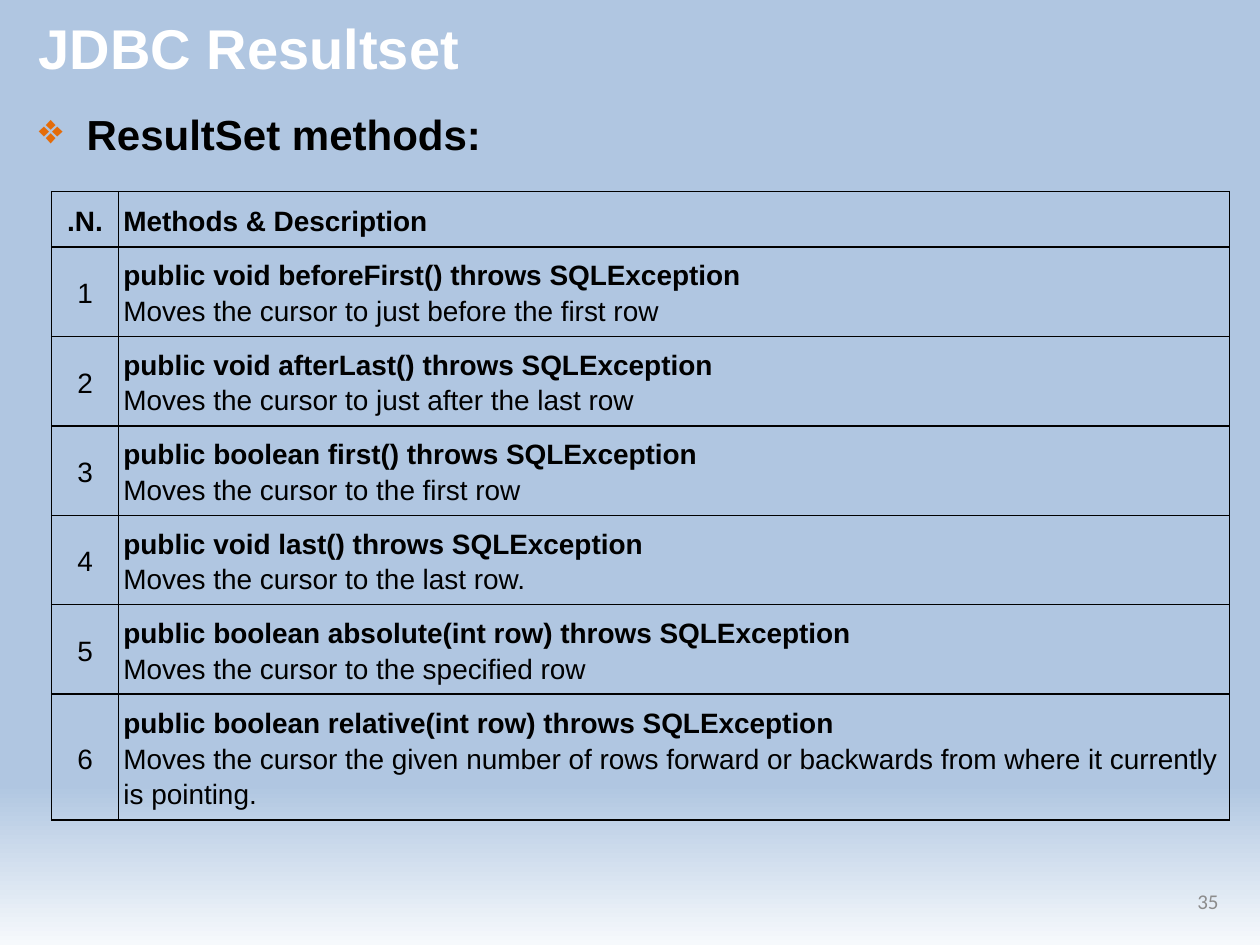
from pptx import Presentation
from pptx.dml.color import RGBColor
from pptx.enum.text import MSO_ANCHOR, PP_ALIGN
from pptx.oxml import parse_xml
from pptx.oxml.ns import nsdecls
from pptx.util import Inches, Pt

TITLE = "JDBC Resultset"
HEADING = "ResultSet methods:"
PAGE_NUMBER = "35"
TABLE_HEAD = (".N.", "Methods & Description")
METHODS = [
    ("public void beforeFirst() throws SQLException",
     "Moves the cursor to just before the first row"),
    ("public void afterLast() throws SQLException",
     "Moves the cursor to just after the last row"),
    ("public boolean first() throws SQLException",
     "Moves the cursor to the first row"),
    ("public void last() throws SQLException",
     "Moves the cursor to the last row."),
    ("public boolean absolute(int row) throws SQLException",
     "Moves the cursor to the specified row"),
    ("public boolean relative(int row) throws SQLException",
     "Moves the cursor the given number of rows forward or backwards "
     "from where it currently is pointing."),
]

THEME = {
    "font": "Arial", "number_font": "Calibri",
    "title": 32, "heading": 24, "cell": 16, "number": 12,
    "black": "000000", "white": "FFFFFF", "gray": "8C8C8C", "bullet": "E46C0A",
    "background": [(0, "B0C6E1"), (74, "B0C6E1"), (83, "B0C6E1"), (100, "F6F9FC")],
}

WIDTH, HEIGHT = 10, 7.5
LEFT, CONTENT_WIDTH = 0.21, 9.56
RIGHT = LEFT + CONTENT_WIDTH
NUMBER_WIDTH = 2.6
TABLE_LEFT, TABLE_TOP = 0.41, 1.52
COLUMNS = (0.53, 8.82)
ROWS = [0.44] + [0.71] * (len(METHODS) - 1) + [1]
CELL_INSET = 0.04
HANGING = 0.38


def add_text(para, text, size, color="black", font="font", bold=False):
    span = para.add_run()
    span.text = text
    span.font.name = THEME[font]
    span.font.size = Pt(THEME[size])
    span.font.bold = bold
    span.font.color.rgb = RGBColor.from_string(THEME[color])


def add_box(page, place, text, anchor=MSO_ANCHOR.MIDDLE, align=PP_ALIGN.LEFT, **style):
    box = page.shapes.add_textbox(*map(Inches, place))
    frame = box.text_frame
    frame.word_wrap = True
    frame.vertical_anchor = anchor
    para = frame.paragraphs[0]
    para.alignment = align
    add_text(para, text, **style)
    return para


def set_bullet(para, mark, color):
    props = para._p.get_or_add_pPr()
    props.set("marL", str(Inches(HANGING)))
    props.set("indent", str(-Inches(HANGING)))
    props.append(parse_xml(
        f'<a:buClr {nsdecls("a")}><a:srgbClr val="{color}"/></a:buClr>'))
    props.append(parse_xml(f'<a:buChar {nsdecls("a")} char="{mark}"/>'))


def set_background(page):
    stops = "".join(f'<a:gs pos="{share * 1000}"><a:srgbClr val="{color}"/></a:gs>'
                    for share, color in THEME["background"])
    page._element.cSld.insert(0, parse_xml(
        f'<p:bg {nsdecls("p", "a")}><p:bgPr><a:gradFill rotWithShape="1">'
        f'<a:gsLst>{stops}</a:gsLst><a:lin ang="5400000" scaled="0"/></a:gradFill>'
        '<a:effectLst/></p:bgPr></p:bg>'))


def format_cell(cell, align):
    """Clear the fill, draw the four borders and return the first paragraph."""
    cell.margin_left = cell.margin_right = Inches(CELL_INSET)
    cell.margin_top = cell.margin_bottom = Inches(CELL_INSET)
    cell.vertical_anchor = MSO_ANCHOR.MIDDLE
    cell.fill.background()
    props = cell._tc.get_or_add_tcPr()
    for index, side in enumerate(("lnL", "lnR", "lnT", "lnB")):
        props.insert(index, parse_xml(
            f'<a:{side} {nsdecls("a")} w="{Pt(1)}"><a:solidFill>'
            f'<a:srgbClr val="{THEME["black"]}"/></a:solidFill></a:{side}>'))
    para = cell.text_frame.paragraphs[0]
    para.alignment = align
    para.line_spacing = 1.15
    return para


def add_methods_table(page):
    frame = page.shapes.add_table(
        len(ROWS), len(COLUMNS), Inches(TABLE_LEFT), Inches(TABLE_TOP),
        Inches(sum(COLUMNS)), Inches(sum(ROWS)))
    table = frame.table
    table.first_row = table.horz_banding = False
    for column, width in zip(table.columns, COLUMNS):
        column.width = Inches(width)
    for row, height in zip(table.rows, ROWS):
        row.height = Inches(height)

    for index, row in enumerate(table.rows):
        number = format_cell(row.cells[0], PP_ALIGN.CENTER)
        method = format_cell(row.cells[1], PP_ALIGN.LEFT)
        if index == 0:
            for para, label in zip((number, method), TABLE_HEAD):
                add_text(para, label, "cell", bold=True)
            continue
        signature, description = METHODS[index - 1]
        add_text(number, str(index), "cell")
        add_text(method, signature, "cell", bold=True)
        method.add_line_break()
        add_text(method, description, "cell")


def main():
    deck = Presentation()
    deck.slide_width, deck.slide_height = Inches(WIDTH), Inches(HEIGHT)
    page = deck.slides.add_slide(deck.slide_layouts[6])
    set_background(page)
    add_box(page, (LEFT, 0.04, CONTENT_WIDTH, 0.67), TITLE,
            size="title", color="white", bold=True)
    heading = add_box(page, (LEFT, 0.81, CONTENT_WIDTH, 6.1), HEADING,
                      anchor=MSO_ANCHOR.TOP, align=PP_ALIGN.JUSTIFY,
                      size="heading", bold=True)
    set_bullet(heading, "❖", THEME["bullet"])
    add_box(page, (RIGHT - NUMBER_WIDTH, 6.95, NUMBER_WIDTH, 0.4), PAGE_NUMBER,
            align=PP_ALIGN.RIGHT, size="number", color="gray", font="number_font")
    add_methods_table(page)
    deck.save("out.pptx")


if __name__ == "__main__":
    main()
